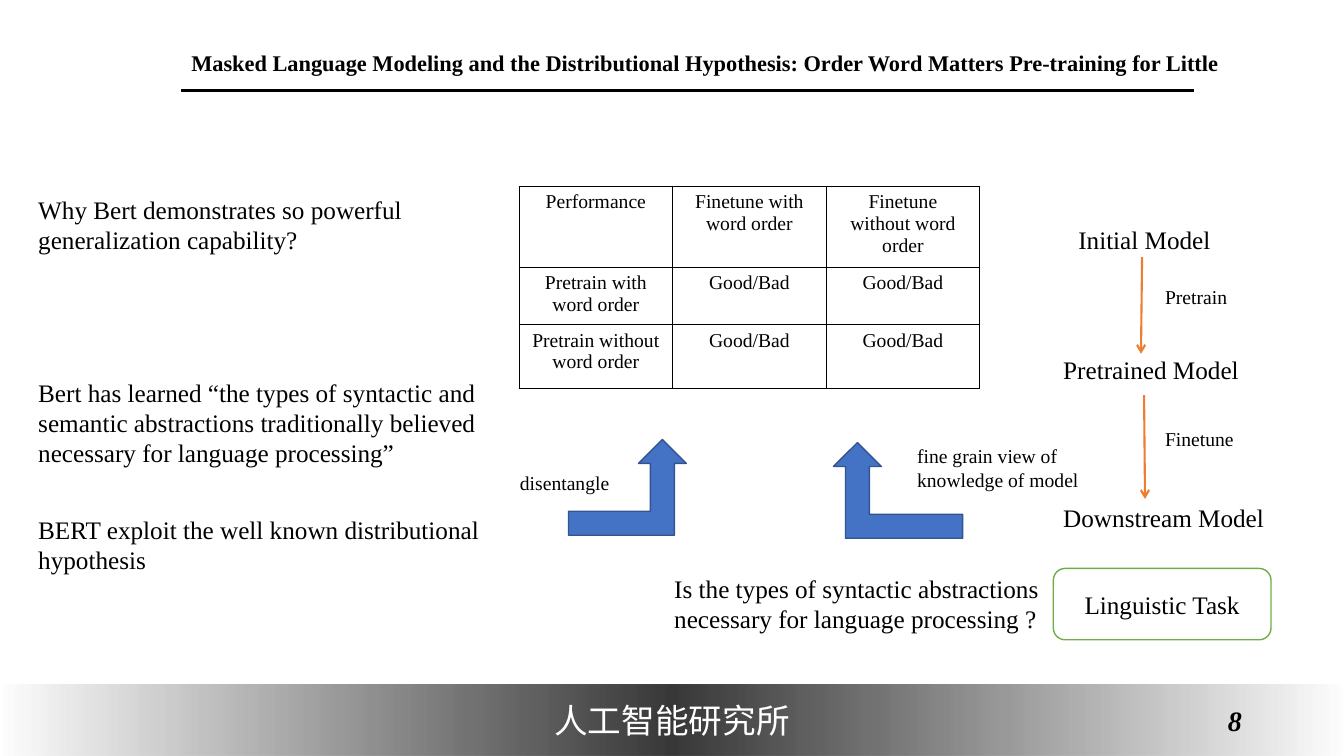
from lxml import etree
from pptx import Presentation
from pptx.dml.color import RGBColor
from pptx.enum.shapes import MSO_CONNECTOR, MSO_SHAPE
from pptx.enum.text import MSO_ANCHOR, MSO_AUTO_SIZE, PP_ALIGN
from pptx.oxml import parse_xml
from pptx.oxml.ns import nsdecls, qn
from pptx.util import Pt

LEFT, CENTER, RIGHT = PP_ALIGN.LEFT, PP_ALIGN.CENTER, PP_ALIGN.RIGHT
MIDDLE = MSO_ANCHOR.MIDDLE
GROW = MSO_AUTO_SIZE.SHAPE_TO_FIT_TEXT
STRAIGHT = MSO_CONNECTOR.STRAIGHT
RECTANGLE, ROUNDED = MSO_SHAPE.RECTANGLE, MSO_SHAPE.ROUNDED_RECTANGLE
BENT_ARROW = MSO_SHAPE.BENT_UP_ARROW
BLACK = "000000"


def color(hex_string):
    return RGBColor.from_string(hex_string)


def write(frame, text, size, align=LEFT, ink=BLACK, **formats):
    frame.word_wrap = True
    paragraph = frame.paragraphs[0]
    paragraph.text = text
    paragraph.alignment = align
    values = {"name": "Times New Roman", "size": Pt(size)} | formats
    for name, value in values.items():
        setattr(paragraph.runs[0].font, name, value)
    paragraph.runs[0].font.color.rgb = color(ink)


presentation = Presentation()
presentation.slide_width, presentation.slide_height = Pt(960), Pt(540)
slide = presentation.slides.add_slide(presentation.slide_layouts[6])
shapes = slide.shapes

# Footer band, fading out to both sides
band = shapes.add_shape(RECTANGLE, Pt(0), Pt(489), Pt(960), Pt(51))
band.shadow.inherit = False
band.line.fill.background()
stops = "".join(
    f'<a:gs pos="{position}"><a:srgbClr val="0D0D0D"><a:alpha val="{alpha}"/></a:srgbClr></a:gs>'
    for position, alpha in [(0, 0), (50000, 82000), (100000, 0)])
band.element.spPr.find(qn("a:prstGeom")).addnext(parse_xml(
    f'<a:gradFill {nsdecls("a")} rotWithShape="1"><a:gsLst>{stops}</a:gsLst>'
    '<a:lin ang="0" scaled="0"/></a:gradFill>'))
band.text_frame.vertical_anchor = MIDDLE
write(band.text_frame, "人工智能研究所", 24, CENTER, "FFFFFF", name="Noto Sans CJK SC")
run_properties = band.text_frame.paragraphs[0].runs[0].font._element
etree.SubElement(run_properties, qn("a:ea")).set("typeface", "Noto Sans CJK SC")

# Title and page number
title = shapes.add_textbox(Pt(129.6), Pt(14.4), Pt(828), Pt(62.6))
write(title.text_frame, "Masked Language Modeling and the Distributional Hypothesis: "
      "Order Word Matters Pre-training for Little", 16, bold=True)
title.text_frame.paragraphs[0].line_spacing = 0.9
page_number = shapes.add_textbox(Pt(678.2), Pt(500.4), Pt(216), Pt(28.8))
write(page_number.text_frame, "8", 20, RIGHT, bold=True, italic=True)
for box in (title, page_number):
    box.text_frame.vertical_anchor = MIDDLE

# Statements, model stages and captions: left, top, width, height, size, alignment, text
texts = [
    (20.2, 135.4, 318.2, 51, 18, LEFT,
     "Why Bert demonstrates so powerful generalization capability?"),
    (20.2, 265.7, 370, 72.7, 18, LEFT,
     "Bert has learned “the types of syntactic and semantic abstractions "
     "traditionally believed necessary for language processing”"),
    (20.2, 363.6, 332.6, 51, 18, LEFT,
     "BERT exploit the well known distributional hypothesis"),
    (474.5, 406, 293.8, 51, 18, LEFT,
     "Is the types of syntactic abstractions necessary for language processing ?"),
    (732.2, 157, 170.6, 29, 18, CENTER, "Initial Model"),
    (752.4, 249.8, 170.6, 29, 18, LEFT, "Pretrained Model"),
    (752.4, 355, 170.6, 29, 18, LEFT, "Downstream Model"),
    (825.1, 200.2, 70, 24.2, 14, LEFT, "Pretrain"),
    (825.1, 301.7, 77.8, 24.2, 14, LEFT, "Finetune"),
    (364.3, 332.6, 142.6, 24.2, 14, LEFT, "disentangle"),
    (648, 313.9, 142.6, 41, 14, LEFT, "fine grain view of knowledge of model"),
]
for left, top, width, height, size, align, text in texts:
    box = shapes.add_textbox(Pt(left), Pt(top), Pt(width), Pt(height))
    write(box.text_frame, text, size, align)
    box.text_frame.auto_size = GROW

# Linguistic task
task = shapes.add_shape(ROUNDED, Pt(752.4), Pt(406), Pt(155.5), Pt(51))
task.shadow.inherit = False
task.fill.solid()
task.fill.fore_color.rgb = color("FFFFFF")
task.line.color.rgb = color("70AD47")
task.line.width = Pt(1)
task.text_frame.vertical_anchor = MIDDLE
write(task.text_frame, "Linguistic Task", 18, CENTER)

# Title rule and stage arrows: start, end, colour, width, arrowhead
lines = [
    ((129.6, 64.8), (853.2, 64.8), BLACK, 2.25, False),
    ((815.8, 183.6), (815, 252.7), "ED7D31", 1.5, True),
    ((817.2, 282.2), (817.9, 356.4), "ED7D31", 1.5, True),
]
for start, end, ink, width, has_head in lines:
    connector = shapes.add_connector(STRAIGHT, *map(Pt, start + end))
    connector.line.color.rgb = color(ink)
    connector.line.width = Pt(width)
    if has_head:
        head = etree.SubElement(connector.line._get_or_add_ln(), qn("a:tailEnd"))
        head.set("type", "arrow")
    etree.SubElement(connector.element.spPr, qn("a:effectLst"))

# Performance table
rows = [
    ["Performance", "Finetune with word order", "Finetune without word order"],
    ["Pretrain with word order", "Good/Bad", "Good/Bad"],
    ["Pretrain without word order", "Good/Bad", "Good/Bad"],
]
table = shapes.add_table(3, 3, Pt(370.8), Pt(133.2), Pt(329.1), Pt(138.2)).table
table.first_row = table.horz_banding = False
for column in table.columns:
    column.width = Pt(109.7)
for row, height, labels in zip(table.rows, (51.8, 41, 45.4), rows):
    row.height = Pt(height)
    for cell, label in zip(row.cells, labels):
        write(cell.text_frame, label, 14, CENTER)
        for side in ("lnL", "lnR", "lnT", "lnB"):
            cell._tc.get_or_add_tcPr().append(parse_xml(
                f'<a:{side} {nsdecls("a")} w="12700"><a:solidFill>'
                f'<a:srgbClr val="{BLACK}"/></a:solidFill></a:{side}>'))
        cell.fill.background()

# Bent arrows pointing up to the table
for left, top, width, flipped in [(406.1, 313.9, 84.2, False), (595.4, 316.1, 92.2, True)]:
    arrow = shapes.add_shape(BENT_ARROW, Pt(left), Pt(top), Pt(width), Pt(68.4))
    arrow.shadow.inherit = False
    arrow.fill.solid()
    arrow.fill.fore_color.rgb = color("4472C4")
    arrow.line.color.rgb = color("325491")
    arrow.line.width = Pt(1)
    if flipped:
        arrow.element.spPr.find(qn("a:xfrm")).set("flipH", "1")

presentation.save("out.pptx")
